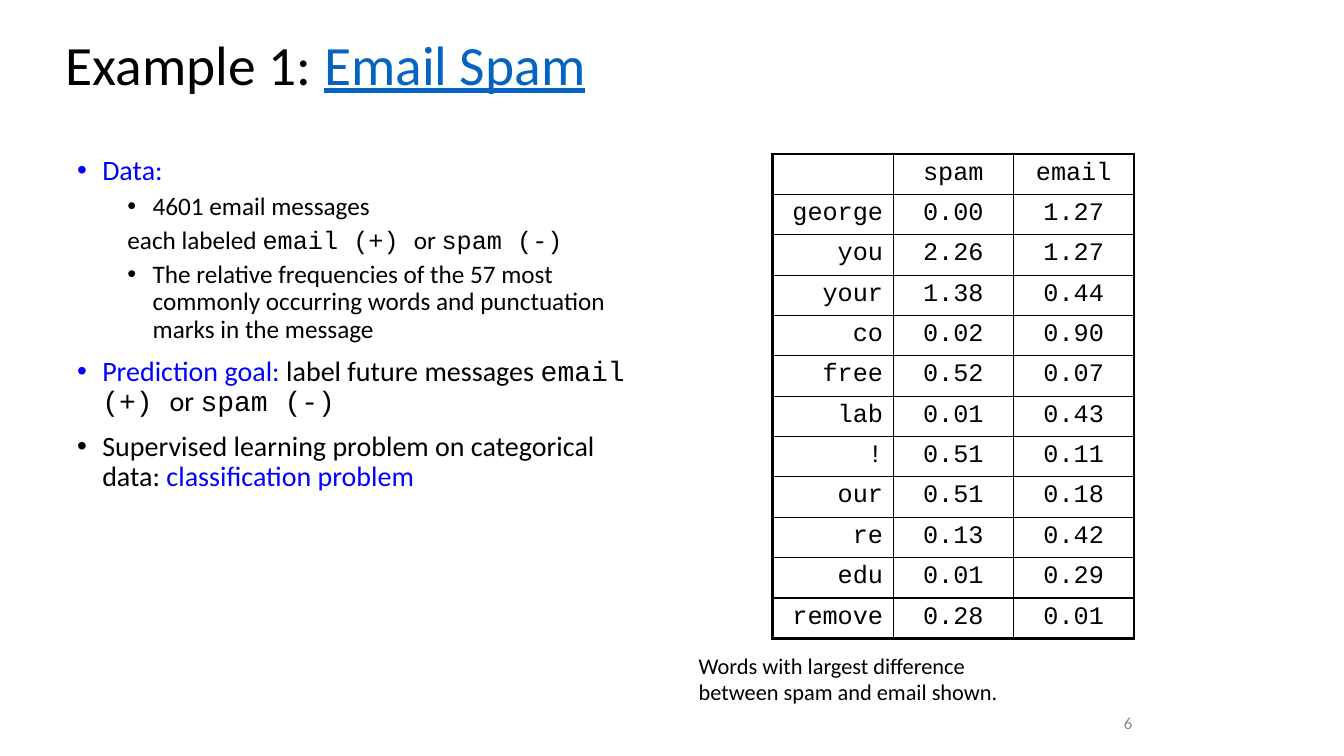
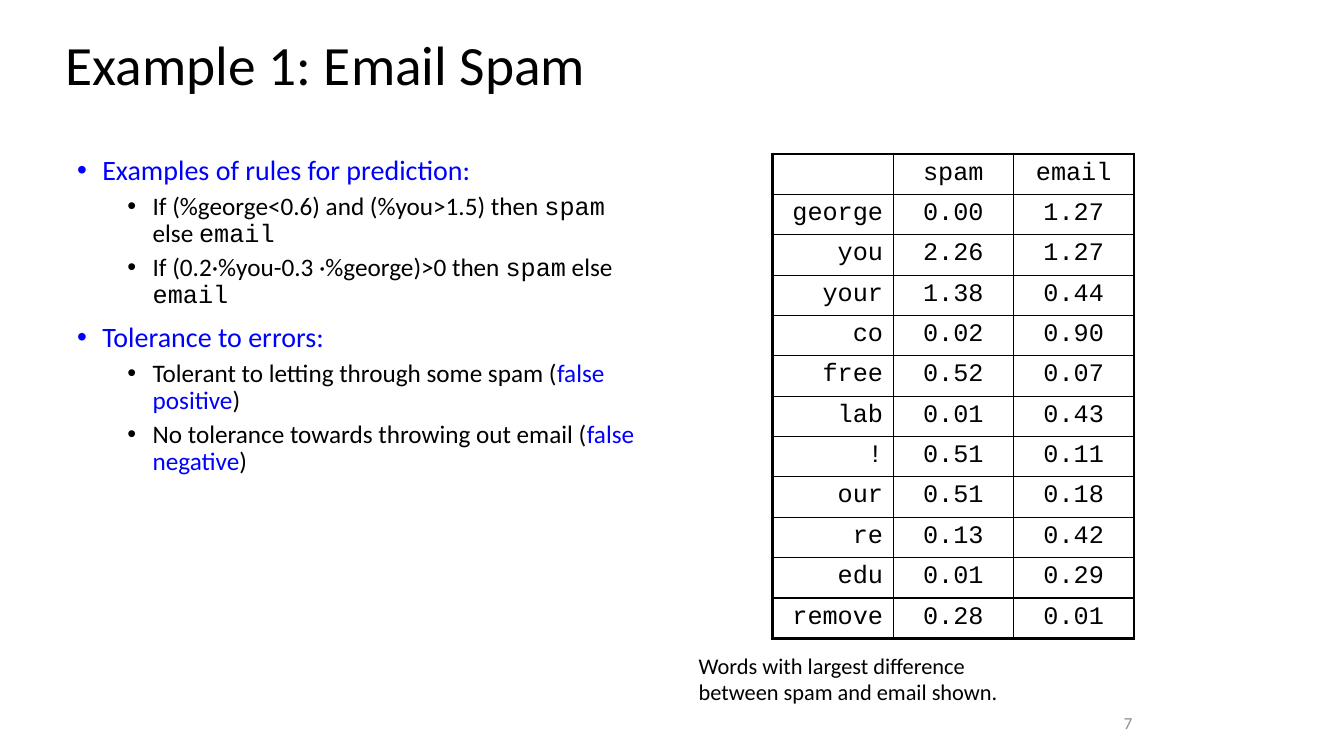
from lxml import etree
from pptx import Presentation
from pptx.dml.color import RGBColor
from pptx.enum.text import MSO_ANCHOR, PP_ALIGN
from pptx.oxml.ns import qn
from pptx.util import Pt

LEFT, CENTER, RIGHT = PP_ALIGN.LEFT, PP_ALIGN.CENTER, PP_ALIGN.RIGHT
TOP, MIDDLE = MSO_ANCHOR.TOP, MSO_ANCHOR.MIDDLE

SANS, MONO = "Calibri", "Courier New"
BLACK, BLUE, LINK, GRAY = "000000", "0000FF", "0563C1", "8C8C8C"
THIN, THICK = 1, 2.25
COLUMN_WIDTH, ROW_HEIGHT = 86, 27.6
CODE = {"font": MONO}
KEY = {"color": BLUE}

FREQUENCIES = [
    ("", "spam", "email"),
    ("george", "0.00", "1.27"),
    ("you", "2.26", "1.27"),
    ("your", "1.38", "0.44"),
    ("co", "0.02", "0.90"),
    ("free", "0.52", "0.07"),
    ("lab", "0.01", "0.43"),
    ("!", "0.51", "0.11"),
    ("our", "0.51", "0.18"),
    ("re", "0.13", "0.42"),
    ("edu", "0.01", "0.29"),
    ("remove", "0.28", "0.01"),
]
CAPTION = "Words with largest difference between spam and email shown."

DATA_TITLE = ["Example 1: ", ("Email Spam", {"color": LINK, "underline": True})]
DATA_BODY = [
    (0, True, [("Data:", KEY)]),
    (1, True, ["4601 email messages"]),
    (1, False, ["each labeled ", ("email (+) ", CODE), "or ", ("spam (-)", CODE)]),
    (1, True, ["The relative frequencies of the 57 most commonly occurring words "
               "and punctuation marks in the message"]),
    (0, True, [("Prediction goal:", KEY), " label future messages ",
               ("email (+) ", CODE), "or ", ("spam (-)", CODE)]),
    (0, True, ["Supervised learning problem on categorical data:",
               (" classification problem", KEY)]),
]

RULES_TITLE = ["Example 1: Email Spam"]
RULES_BODY = [
    (0, True, [("Examples of rules for prediction:", KEY)]),
    (1, True, ["If (%george<0.6) and (%you>1.5) then ", ("spam", CODE),
               " else ", ("email", CODE)]),
    (1, True, ["If (0.2·%you-0.3 ·%george)>0 then ", ("spam", CODE),
               " else ", ("email", CODE)]),
    (0, True, [("Tolerance to errors:", KEY)]),
    (1, True, ["Tolerant to letting through some spam (",
               ("false positive", KEY), ")"]),
    (1, True, ["No tolerance towards throwing out email (",
               ("false negative", KEY), ")"]),
]


def rgb(value):
    return RGBColor.from_string(value)


def add_span(para, text, size=18, font=SANS, color=BLACK, underline=False):
    span = para.add_run()
    span.text = text
    span.font.size = Pt(size)
    span.font.name = font
    span.font.color.rgb = rgb(color)
    if underline:
        span.font.underline = True


def write_para(para, pieces, align=LEFT, line_spacing=1.0, before=0, **style):
    para.alignment = align
    para.line_spacing = line_spacing
    para.space_before = Pt(before)
    for piece in pieces:
        text, own_style = (piece, {}) if isinstance(piece, str) else piece
        add_span(para, text, **{**style, **own_style})


def add_box(page, left, top, width, height, anchor=TOP):
    box = page.shapes.add_textbox(Pt(left), Pt(top), Pt(width), Pt(height))
    frame = box.text_frame
    frame.word_wrap = True
    frame.vertical_anchor = anchor
    return frame


def set_bullet(para, level, bulleted):
    properties = para._p.get_or_add_pPr()
    properties.set("marL", str(Pt(18 + 36 * level)))
    properties.set("indent", str(Pt(-18)))
    if bulleted:
        etree.SubElement(properties, qn("a:buFont"), typeface="Arial")
        etree.SubElement(properties, qn("a:buChar"), char="•")
    else:
        etree.SubElement(properties, qn("a:buNone"))


def add_body(page, items):
    frame = add_box(page, 48, 108, 421, 378)
    for index, (level, bulleted, pieces) in enumerate(items):
        para = frame.add_paragraph() if index else frame.paragraphs[0]
        para.level = level
        write_para(para, pieces, line_spacing=0.9,
                   before=5 if level else 10, size=18 if level else 20)
        set_bullet(para, level, bulleted)


def set_borders(cell, outer_sides):
    properties = cell._tc.get_or_add_tcPr()
    for side in "LRTB":
        width = THICK if side in outer_sides else THIN
        line = etree.SubElement(properties, qn("a:ln" + side), w=str(Pt(width)))
        fill = etree.SubElement(line, qn("a:solidFill"))
        etree.SubElement(fill, qn("a:srgbClr"), val=BLACK)


def add_frequency_table(page, rows):
    row_count, column_count = len(rows), len(rows[0])
    table = page.shapes.add_table(
        row_count, column_count, Pt(552), Pt(110),
        Pt(COLUMN_WIDTH * column_count), Pt(ROW_HEIGHT * row_count)).table
    table.first_row = table.horz_banding = False
    for column in table.columns:
        column.width = Pt(COLUMN_WIDTH)
    for row_index, values in enumerate(rows):
        table.rows[row_index].height = Pt(ROW_HEIGHT)
        for column_index, value in enumerate(values):
            cell = table.cell(row_index, column_index)
            edges = {"L": column_index == 0, "R": column_index == column_count - 1,
                     "T": row_index == 0, "B": row_index == row_count - 1}
            set_borders(cell, [side for side, outer in edges.items() if outer])
            cell.fill.background()
            if value:
                write_para(cell.text_frame.paragraphs[0], [value], font=MONO,
                           align=CENTER if column_index else RIGHT)


def add_page(deck, number, title, body):
    page = deck.slides.add_slide(deck.slide_layouts[6])
    number_frame = add_box(page, 744, 504, 72, 24, anchor=MIDDLE)
    write_para(number_frame.paragraphs[0], [str(number)],
               align=RIGHT, size=12, color=GRAY)
    title_frame = add_box(page, 40, 24, 878, 48, anchor=MIDDLE)
    write_para(title_frame.paragraphs[0], title, line_spacing=0.9, size=39.6)
    add_body(page, body)
    add_frequency_table(page, FREQUENCIES)
    caption_frame = add_box(page, 492, 462, 259, 46)
    write_para(caption_frame.paragraphs[0], [CAPTION], size=16)


def main():
    deck = Presentation()
    deck.slide_width, deck.slide_height = Pt(960), Pt(540)
    pages = [(DATA_TITLE, DATA_BODY), (RULES_TITLE, RULES_BODY)]
    for number, (title, body) in enumerate(pages, start=6):
        add_page(deck, number, title, body)
    deck.save("out.pptx")


if __name__ == "__main__":
    main()
